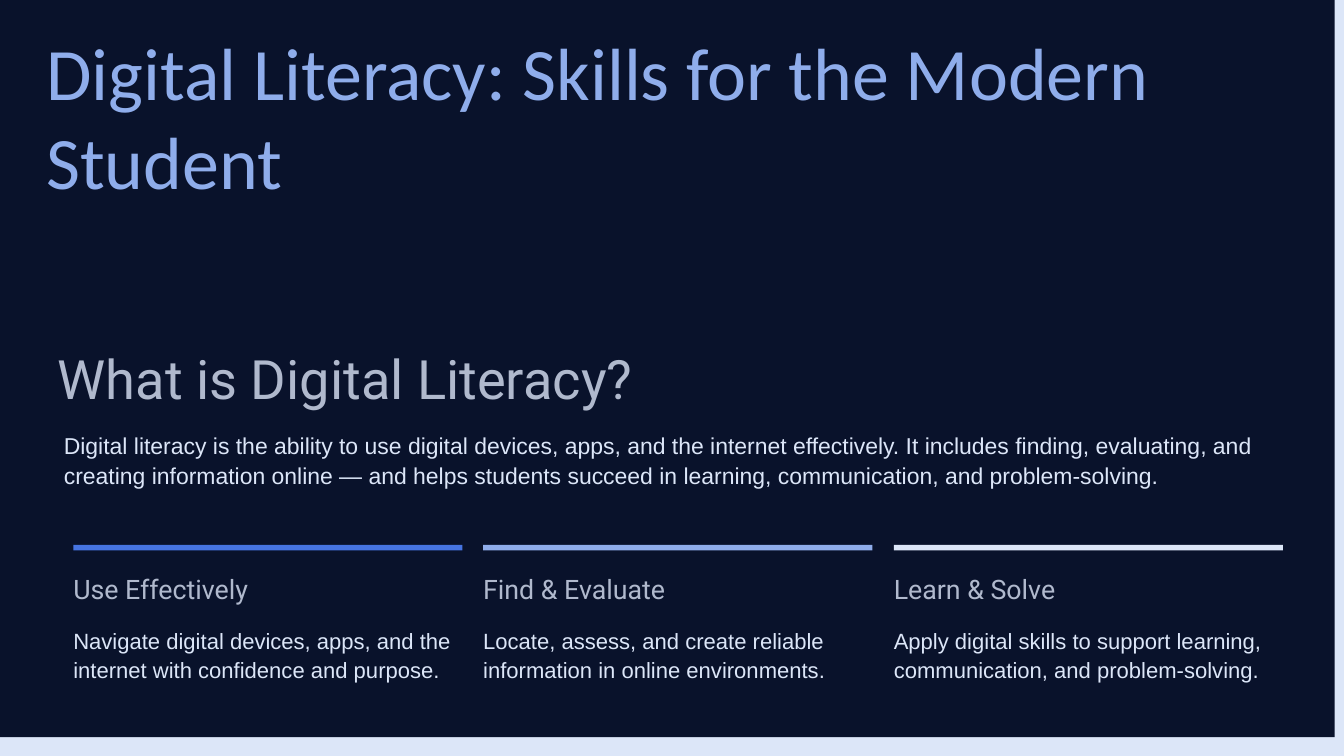
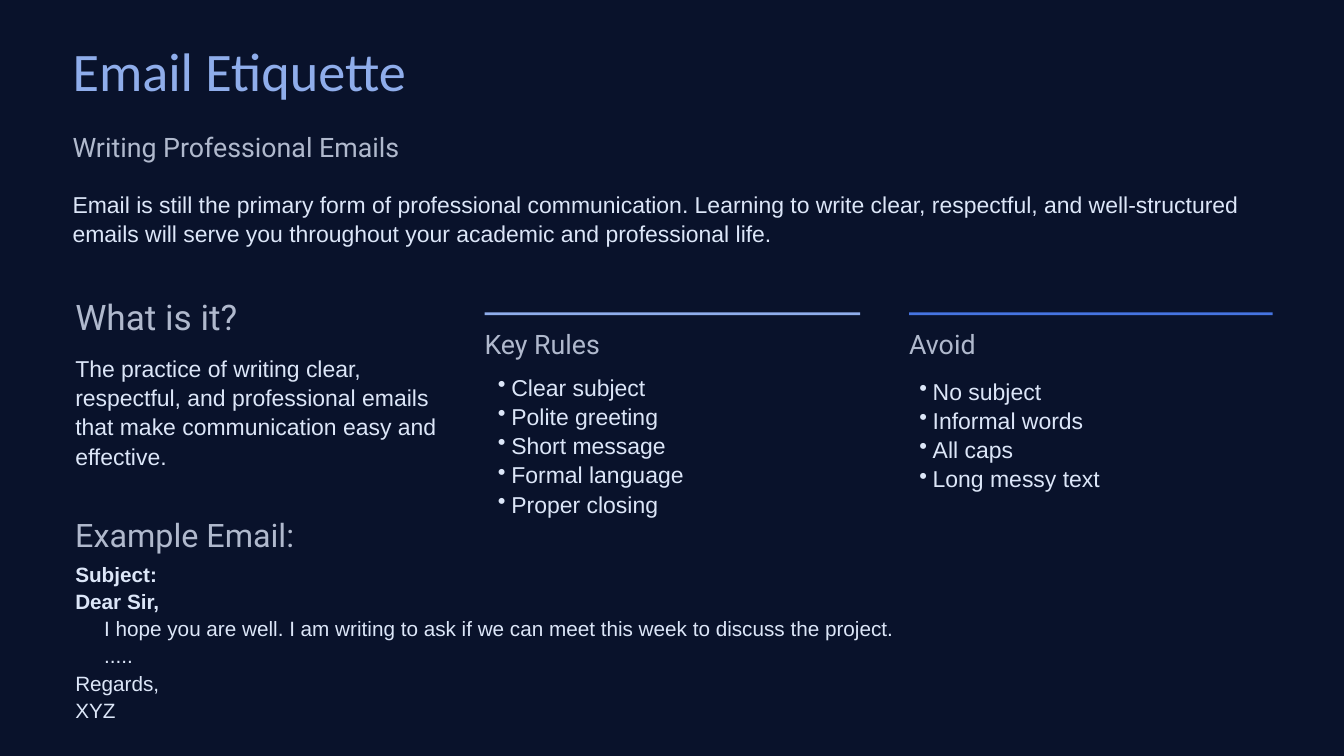
"""Build two slides on digital literacy and email etiquette."""
from collections import namedtuple

from lxml import etree
from pptx import Presentation, util as u
from pptx.dml.color import RGBColor
from pptx.enum import shapes, text
from pptx.oxml.ns import qn

PX = 9144
Style = namedtuple("Style", "font size leading colour")


class Theme:
    night, pale, blue, sky, grey = (
        RGBColor.from_string(code)
        for code in ("09122B", "DCE6F8", "4674E1", "8FADEB", "B0B9CD"))
    cover = Style("Calibri", 79.2, 95, sky)
    title = Style("Calibri", 58.1, 69.4, sky)
    section = Style("Roboto", 58.1, 69.4, grey)
    question = Style("Roboto", 37.7, 45.1, grey)
    example = Style("Roboto", 34.6, 41, grey)
    label = Style("Roboto", 28.7, 34.4, grey)
    intro = Style("Arial", 24.6, 32.1, pale)
    body = Style("Arial", 24.6, 31.3, pale)
    card = Style("Arial", 23.6, 30.8, pale)
    email = Style("Arial", 22.2, 29.2, pale)


def write(slide, box, lines, style, holder=None, bullet=False):
    left, top, width, height = (n * PX for n in box)
    if holder is None:
        holder = slide.shapes.add_textbox(left, top, width, height)
    holder.left, holder.top, holder.width, holder.height = left, top, width, height
    frame = holder.text_frame
    frame.word_wrap = True
    frame.auto_size = text.MSO_AUTO_SIZE.SHAPE_TO_FIT_TEXT
    frame.vertical_anchor = text.MSO_ANCHOR.TOP
    frame.margin_left = frame.margin_top = frame.margin_right = frame.margin_bottom = 0
    frame.text = "\n".join(lines)
    for paragraph in frame.paragraphs:
        paragraph.alignment = text.PP_ALIGN.LEFT
        paragraph.line_spacing = u.Pt(style.leading)
        if bullet:
            props = paragraph._p.get_or_add_pPr()
            props.set("marL", str(41 * PX))
            props.set("indent", str(-20 * PX))
            etree.SubElement(props, qn("a:buChar")).set("char", "•")
        paragraph.font.name = style.font
        paragraph.font.size = u.Pt(style.size)
        paragraph.font.color.rgb = style.colour
    return frame.paragraphs


def fill_rect(slide, box, colour):
    rect = slide.shapes.add_shape(shapes.MSO_SHAPE.RECTANGLE, *(n * PX for n in box))
    rect.shadow.inherit = False
    rect.fill.solid()
    rect.fill.fore_color.rgb = colour
    rect.line.fill.background()
    return rect


deck = Presentation()
deck.slide_width, deck.slide_height = 2000 * PX, 1125 * PX

openings = [
    ((-14, -28), "Digital Literacy: Skills for the Modern Student",
     (69, 40, 1834, 404), Theme.cover),
    ((0, 0), "Email Etiquette", (108, 56, 1076, 105), Theme.title),
]
for corner, heading, box, style in openings:
    slide = deck.slides.add_slide(deck.slide_layouts[5])
    slide.background.fill.solid()
    slide.background.fill.fore_color.rgb = Theme.pale
    panel = fill_rect(slide, (*corner, 2000, 1125), Theme.night)
    slide.shapes.element.insert(2, panel.element)
    write(slide, box, [heading], style, slide.shapes.title)
literacy, etiquette = deck.slides

write(literacy, (86, 514, 928, 96), ["What is Digital Literacy?"], Theme.section)
write(literacy, (95, 639, 1783, 88), [
    "Digital literacy is the ability to use digital devices, apps, and the internet "
    "effectively. It includes finding, evaluating, and creating information online — "
    "and helps students succeed in learning, communication, and problem-solving."],
    Theme.intro)

skills = [
    ("Use Effectively", Theme.blue,
     "Navigate digital devices, apps, and the internet with confidence and purpose."),
    ("Find & Evaluate", Theme.sky,
     "Locate, assess, and create reliable information in online environments."),
    ("Learn & Solve", Theme.pale,
     "Apply digital skills to support learning, communication, and problem-solving."),
]
for column, (skill, colour, detail) in enumerate(skills):
    left = 109 + column * 1221 // 2
    fill_rect(literacy, (left, 811, 579, 8), colour)
    write(literacy, (left, 852, 295, 47), [skill], Theme.label)
    write(literacy, (left, 930, 571, 85), [detail], Theme.card)

write(etiquette, (108, 194, 517, 47), ["Writing Professional Emails"], Theme.label)
write(etiquette, (108, 281, 1784, 86), [
    "Email is still the primary form of professional communication. Learning to write "
    "clear, respectful, and well-structured emails will serve you throughout your "
    "academic and professional life."], Theme.body)
write(etiquette, (112, 440, 338, 64), ["What is it?"], Theme.question)
write(etiquette, (112, 525, 541, 171), [
    "The practice of writing clear, respectful, and professional emails that make "
    "communication easy and effective."], Theme.body)

advice = [
    ("Key Rules", Theme.sky, 721, 559, (720, 553, 559, 214),
     ["Clear subject", "Polite greeting", "Short message", "Formal language",
      "Proper closing"]),
    ("Avoid", Theme.blue, 1353, 541, (1347, 559, 541, 171),
     ["No subject", "Informal words", "All caps", "Long messy text"]),
]
for heading, colour, left, width, list_box, points in advice:
    fill_rect(etiquette, (left, 465, width, 4), colour)
    write(etiquette, (left, 488, 182, 47), [heading], Theme.label)
    write(etiquette, list_box, points, Theme.body, bullet=True)

write(etiquette, (112, 768, 347, 56), ["Example Email:"], Theme.example)
email = write(etiquette, (112, 832, 1595, 241), [
    "Subject:", "Dear Sir,",
    "I hope you are well. I am writing to ask if we can meet this week to discuss "
    "the project.", ".....", "Regards,", "XYZ"], Theme.email)
for opening in email[:2]:
    opening.font.bold = True
for message in email[2:4]:
    message._p.get_or_add_pPr().set("marL", str(43 * PX))

deck.save("out.pptx")
